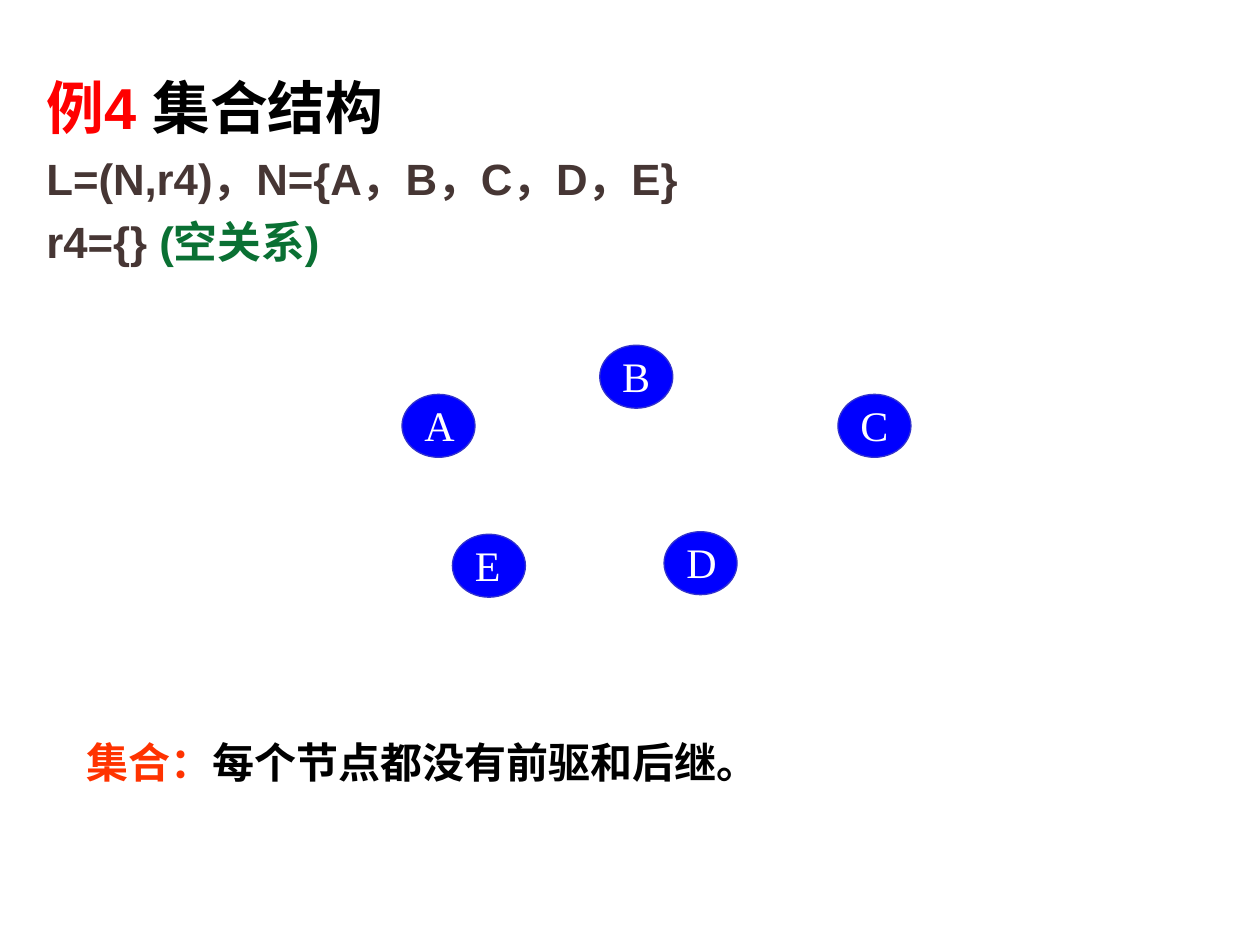
from pptx import Presentation
from pptx.dml.color import RGBColor
from pptx.enum.shapes import MSO_SHAPE
from pptx.util import Inches, Pt

OVAL = MSO_SHAPE.OVAL
SANS, SERIF = "Arial", "Times New Roman"
RED, ORANGE, BLACK, BROWN, GREEN = "FF0000", "FF3300", "000000", "463634", "0A7033"
WHITE, NODE_FILL, NODE_LINE = "FFFFFF", "0000FF", "3333CC"

EXAMPLE = [
    (33, [("例4 ", RED), ("集合结构", BLACK)]),
    (25, [("L=(N,r4)，N={A，B，C，D，E}", BROWN)]),
    (25, [("r4={} ", BROWN), ("(空关系)", GREEN)]),
]
SUMMARY = [(24, [("集合：", ORANGE), ("每个节点都没有前驱和后继。", BLACK)])]
NODES = {
    "A": (3.19, 3.13),
    "B": (4.76, 2.74),
    "C": (6.65, 3.13),
    "D": (5.27, 4.22),
    "E": (3.59, 4.24),
}
NODE_W, NODE_H = 0.58, 0.5
LABEL_DX, LABEL_DY, LABEL_W = 0.08, -0.01, 0.47


def rgb(value):
    return RGBColor.from_string(value)


def add_text(s, paragraphs, box, font, bold=False, space=0):
    tf = s.shapes.add_textbox(*map(Inches, box)).text_frame
    tf.word_wrap = True
    for i, (size, runs) in enumerate(paragraphs):
        p = tf.paragraphs[0] if i == 0 else tf.add_paragraph()
        if i:
            p.space_before = Pt(space)
        for text, color in runs:
            r = p.add_run()
            r.text = text
            r.font.name, r.font.size, r.font.bold = font, Pt(size), bold
            r.font.color.rgb = rgb(color)


def add_node(s, x, y):
    sp = s.shapes.add_shape(OVAL, *map(Inches, (x, y, NODE_W, NODE_H)))
    sp.shadow.inherit = False
    sp.fill.solid()
    sp.fill.fore_color.rgb = rgb(NODE_FILL)
    sp.line.color.rgb = rgb(NODE_LINE)
    sp.line.width = Pt(0.75)


def main():
    prs = Presentation()
    prs.slide_width, prs.slide_height = Inches(10), Inches(7.5)
    s = prs.slides.add_slide(prs.slide_layouts[6])
    add_text(s, EXAMPLE, (0.27, 0.52, 9.73, 2.13), SANS, bold=True, space=6.2)
    add_text(s, SUMMARY, (0.59, 5.8, 8.27, 0.5), SERIF, bold=True)
    for x, y in NODES.values():
        add_node(s, x, y)
    for name, (x, y) in NODES.items():
        box = (x + LABEL_DX, y + LABEL_DY, LABEL_W, NODE_H)
        add_text(s, [(24, [(name, WHITE)])], box, SERIF)
    prs.save("out.pptx")


if __name__ == "__main__":
    main()
